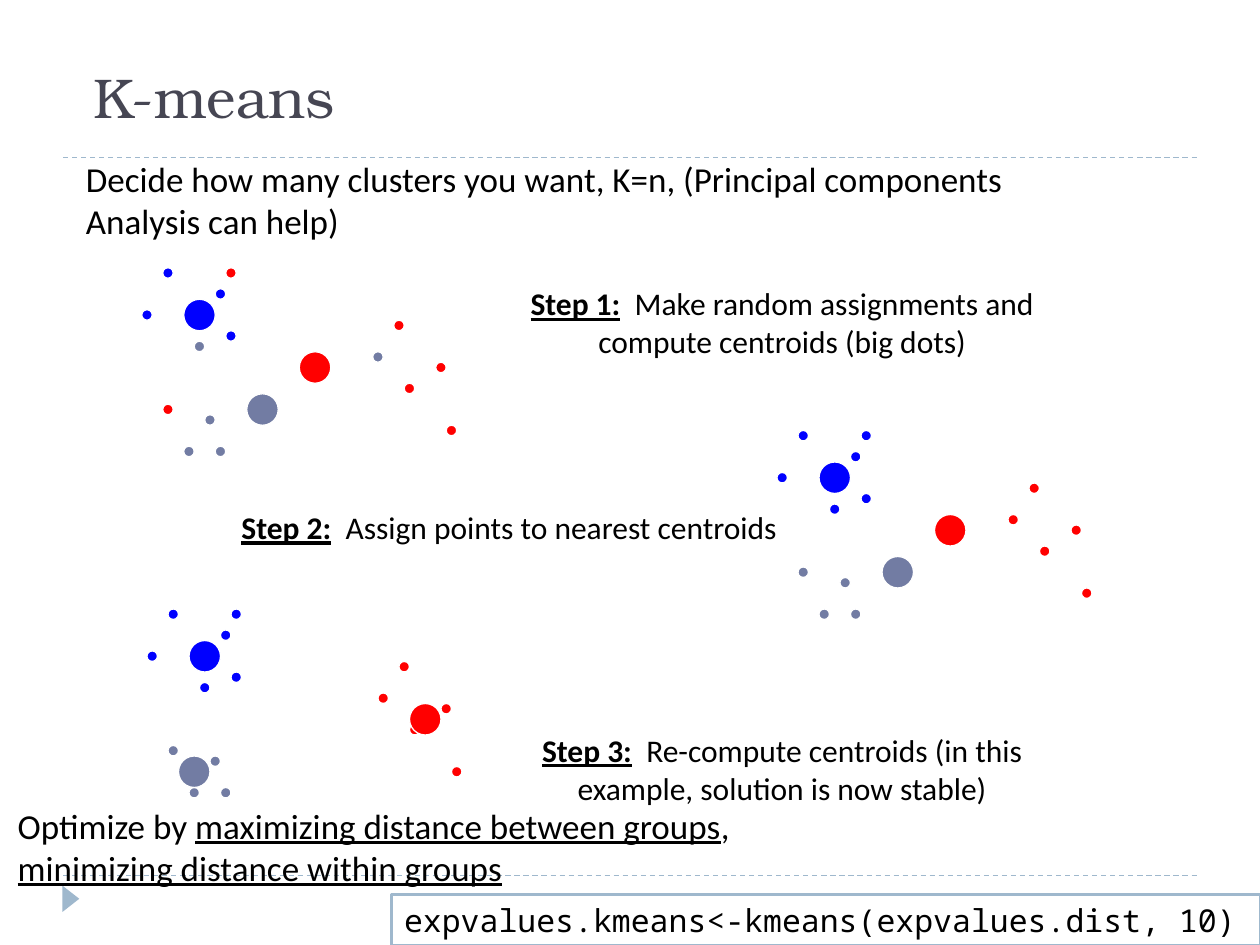
"""Build the K-means slide: three clustering steps drawn as dot plots."""
from dataclasses import dataclass

from lxml import etree
from pptx import Presentation
from pptx import util as u
from pptx.dml.color import RGBColor
from pptx.enum import dml, shapes, text
from pptx.oxml.ns import qn


@dataclass(frozen=True)
class Theme:
    blue: str = "0000FF"
    red: str = "FF0000"
    slate: str = "727CA3"
    accent: str = "9FB8CD"
    heading: str = "464653"
    ink: str = "000000"
    paper: str = "FFFFFF"
    heading_font: str = "TeX Gyre Bonum"
    body_font: str = "Calibri"
    code_font: str = "Noto Sans Mono"
    heading_size: int = 32
    body_size: int = 20
    step_size: int = 18


@dataclass(frozen=True)
class Box:
    column: float
    row: float
    columns: float
    rows: float

    def emu(self) -> list[int]:
        return [cells(n) for n in (self.column, self.row, self.columns, self.rows)]


@dataclass(frozen=True)
class Words:
    content: str
    bold: bool = False
    underline: bool = False


@dataclass(frozen=True)
class Step:
    label: str
    description: str
    caption: Box
    origin: tuple[float, float]
    assignments: str
    centroids: dict[str, tuple[int, int]]


THEME = Theme()
CELLS_PER_INCH = 12
CLUSTERS = {"B": THEME.blue, "R": THEME.red, "S": THEME.slate}
POINTS = [
    (4, 3), (7, 10), (9, 5), (10, 9), (2, 7), (26, 8), (30, 12), (24, 11),
    (27, 14), (10, 3), (31, 18), (4, 16), (6, 20), (9, 20), (8, 17),
]
FIRST_CENTROIDS = {"S": (12, 15), "B": (6, 6), "R": (17, 11)}
FINAL_CENTROIDS = {"S": (5, 17), "B": (6, 6), "R": (27, 12)}
NEAREST = "BBBBBRRRRBRSSSS"
STEPS = [
    Step("Step 1:", "  Make random assignments and compute centroids (big dots)",
         Box(47, 26.5, 55, 8.4), (11.5, 22.5), "BSBBBRRSRRRRSSS", FIRST_CENTROIDS),
    Step("Step 2:", "  Assign points to nearest centroids",
         Box(21, 46, 55, 8.4), (72, 38), NEAREST, FIRST_CENTROIDS),
    Step("Step 3:", "  Re-compute centroids (in this example, solution is now stable)",
         Box(47, 69, 55, 8.4), (12, 55), NEAREST, FINAL_CENTROIDS),
]


def cells(count: float) -> int:
    return u.Inches(count / CELLS_PER_INCH)


def rgb(colour: str) -> RGBColor:
    return RGBColor.from_string(colour)


def write(frame, runs: list[Words], size: int, font: str = THEME.body_font,
          colour: str = THEME.ink, align=text.PP_ALIGN.LEFT,
          anchor=text.MSO_ANCHOR.TOP, wrap: bool = True) -> None:
    frame.word_wrap = wrap
    frame.auto_size = text.MSO_AUTO_SIZE.NONE
    frame.vertical_anchor = anchor
    paragraph = frame.paragraphs[0]
    paragraph.alignment = align
    for words in runs:
        run = paragraph.add_run()
        run.text = words.content
        run.font.name = font
        run.font.size = u.Pt(size)
        run.font.color.rgb = rgb(colour)
        run.font.bold = words.bold
        run.font.underline = words.underline


def add_figure(slide, preset, box: Box, fill: str, outline: str | None = None,
               weight: float = 0.75):
    figure = slide.shapes.add_shape(preset, *box.emu())
    figure.shadow.inherit = False
    figure.fill.solid()
    figure.fill.fore_color.rgb = rgb(fill)
    if outline:
        figure.line.color.rgb = rgb(outline)
        figure.line.width = u.Pt(weight)
    else:
        figure.line.fill.background()
    return figure


def add_rule(slide, row: float) -> None:
    rule = slide.shapes.add_connector(
        shapes.MSO_CONNECTOR.STRAIGHT, cells(6), cells(row), cells(114), cells(row))
    rule.line.color.rgb = rgb(THEME.accent)
    rule.line.width = u.Pt(0.75)
    rule.line.dash_style = dml.MSO_LINE.DASH
    etree.SubElement(rule.element.spPr, qn("a:effectLst"))


def add_paragraph_box(slide, box: Box, runs: list[Words], size: int, **style) -> None:
    write(slide.shapes.add_textbox(*box.emu()).text_frame, runs, size, **style)


def add_dot(slide, origin: tuple[float, float], place: tuple[int, int],
            diameter: int, cluster: str) -> None:
    box = Box(origin[0] + place[0], origin[1] + place[1], diameter, diameter)
    add_figure(slide, shapes.MSO_SHAPE.OVAL, box, CLUSTERS[cluster], THEME.paper)


def add_step(slide, step: Step) -> None:
    for place, cluster in zip(POINTS, step.assignments):
        add_dot(slide, step.origin, place, 1, cluster)
    for cluster, place in step.centroids.items():
        add_dot(slide, step.origin, place, 3, cluster)
    add_paragraph_box(
        slide, step.caption,
        [Words(step.label, bold=True, underline=True), Words(step.description)],
        THEME.step_size, align=text.PP_ALIGN.CENTER, anchor=text.MSO_ANCHOR.MIDDLE)


def add_heading(slide) -> None:
    heading = slide.shapes.title
    heading.left, heading.top, heading.width, heading.height = Box(6, 0, 108, 13).emu()
    heading.text_frame.margin_left = u.Inches(0.24)
    write(heading.text_frame, [Words("K-means")], THEME.heading_size,
          font=THEME.heading_font, colour=THEME.heading, anchor=text.MSO_ANCHOR.BOTTOM)


def main() -> None:
    deck = Presentation()
    deck.slide_width, deck.slide_height = u.Inches(10), u.Inches(7.5)
    slide = deck.slides.add_slide(deck.slide_layouts[5])
    for row in (83.4, 15):
        add_rule(slide, row)
    marker = add_figure(slide, shapes.MSO_SHAPE.ISOSCELES_TRIANGLE,
                        Box(5.5, 84.8, 2.5, 1.6), THEME.accent)
    marker.rotation = 90
    add_heading(slide)
    for step in STEPS:
        add_step(slide, step)
    add_paragraph_box(
        slide, Box(7, 14.4, 97, 9.2),
        [Words("Decide how many clusters you want, K=n, "
               "(Principal components Analysis can help)")], THEME.body_size)
    add_paragraph_box(
        slide, Box(0.5, 76, 79, 9.2),
        [Words("Optimize by "),
         Words("maximizing distance between groups", underline=True),
         Words(", "),
         Words("minimizing distance within groups", underline=True)], THEME.body_size)
    command = add_figure(slide, shapes.MSO_SHAPE.RECTANGLE, Box(37.3, 85.2, 82.7, 4.8),
                         THEME.paper, THEME.accent, 1.5)
    write(command.text_frame, [Words("expvalues.kmeans<-kmeans(expvalues.dist, 10)")],
          THEME.step_size, font=THEME.code_font, wrap=False)
    deck.save("out.pptx")


if __name__ == "__main__":
    main()
